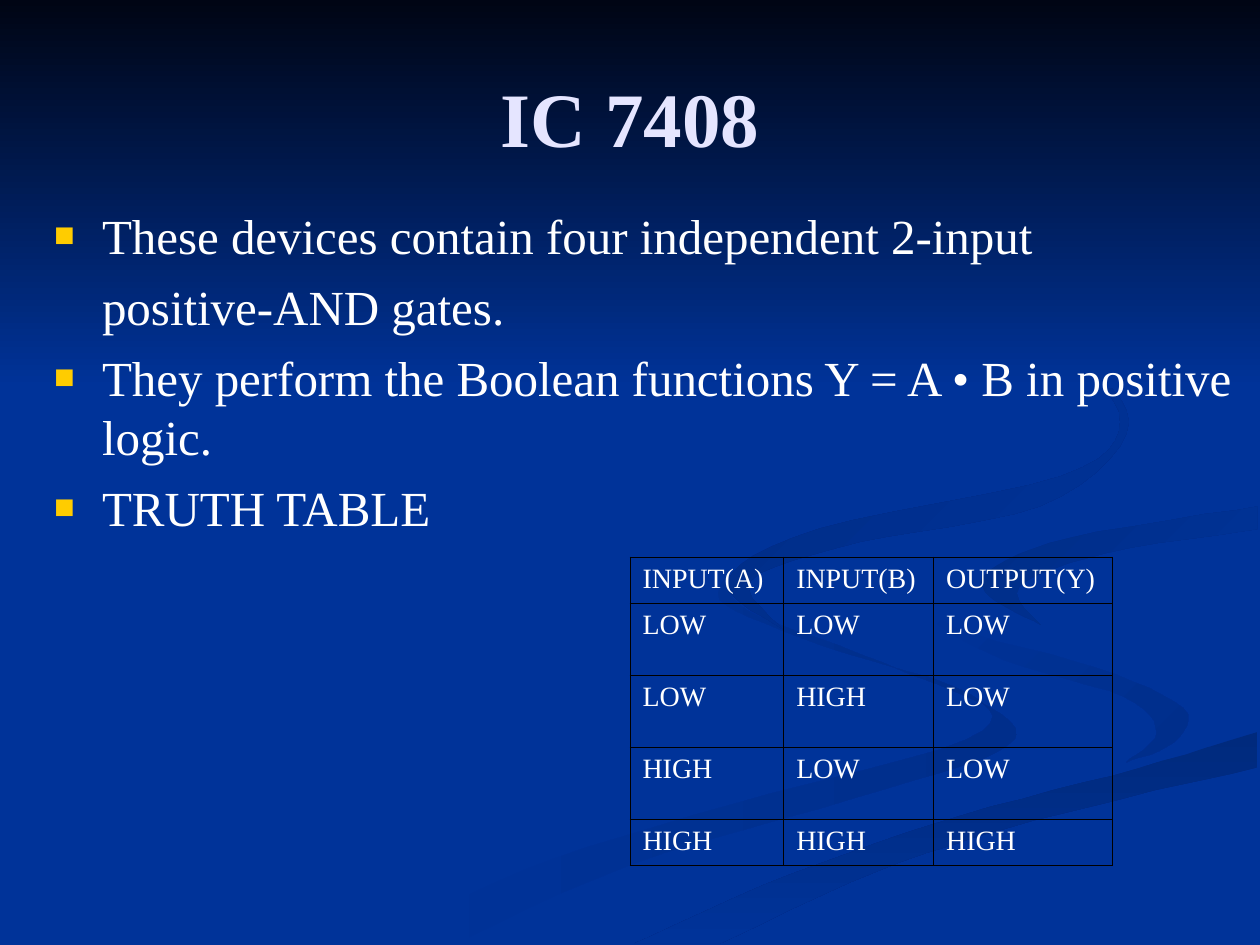
from lxml.etree import SubElement
from pptx import Presentation
from pptx.dml.color import RGBColor as RGB
from pptx.enum.shapes import MSO_SHAPE as Shape
from pptx.enum.text import MSO_ANCHOR as Anchor, MSO_AUTO_SIZE as AutoSize, PP_ALIGN as Align
from pptx.oxml.ns import qn
from pptx.util import Pt

PX = 9144  # EMU per px, at 100 px to the inch


class Theme:
    font = "Times New Roman"
    back, night = "003399", "000514"
    title, text, bullet, border = "E5E5FF", "FFFFFF", "FFCC00", "000000"
    title_pt, body_pt, cell_pt = 44, 28, 16
    space_pt, border_pt = 7, 0.45


# Ribbons from back to front: (start colour, end colour, clockwise angle, one edge, other edge back)
RIBBONS = [
    (Theme.back, "002E8B", 0,
     [(575, 459), (576, 480), (654, 513), (770, 551), (767, 587), (579, 639), (417, 690), (300, 749)],
     [(361, 749), (499, 687), (676, 634), (791, 597), (795, 567), (682, 519), (594, 485), (575, 459)]),
    (Theme.back, "002E8B", 45,
     [(724, 464), (758, 498), (870, 530), (939, 562), (932, 589), (894, 605)],
     [(894, 605), (918, 581), (892, 553), (797, 524), (733, 488), (724, 464)]),
    ("002A7D", Theme.back, 90,
     [(503, 749), (630, 693), (764, 647), (903, 610), (998, 581)],
     [(998, 609), (821, 651), (695, 692), (571, 749)]),
    ("002D86", Theme.back, 45,
     [(826, 496), (785, 473), (785, 453), (849, 427), (998, 402)],
     [(998, 420), (878, 439), (809, 466), (826, 496)]),
    ("002B82", Theme.back, 45,
     [(762, 233), (864, 291), (894, 344), (825, 402), (683, 430), (596, 461), (622, 500)],
     [(622, 500), (577, 462), (649, 420), (842, 378), (889, 335), (846, 279), (762, 233)]),
]

BULLETS = [  # (text, has a bullet)
    ("These devices contain four independent 2-input", True),
    ("positive-AND gates.", False),
    ("They perform the Boolean functions Y = A • B in positive logic.", True),
    ("TRUTH TABLE", True),
]

TRUTH_TABLE = [
    ("INPUT(A)", "INPUT(B)", "OUTPUT(Y)"),
    ("LOW", "LOW", "LOW"),
    ("LOW", "HIGH", "LOW"),
    ("HIGH", "LOW", "LOW"),
    ("HIGH", "HIGH", "HIGH"),
]


def smooth(points, steps=6):
    """Points along a Catmull-Rom curve through the given ones."""
    padded = [points[0], *points, points[-1]]
    curve = []
    for a, b, c, d in zip(padded, padded[1:], padded[2:], padded[3:]):
        for k in range(steps):
            t = k / steps
            curve.append(tuple(
                q + t * (r - p + t * (2 * p - 5 * q + 4 * r - s + t * (3 * (q - r) + s - p))) / 2
                for p, q, r, s in zip(a, b, c, d)))
    return curve + [points[-1]]


def add_run(p, text, size, color, bold=False):
    r = p.add_run()
    r.text = text
    r.font.name, r.font.size, r.font.bold = Theme.font, Pt(size), bold
    r.font.color.rgb = RGB.from_string(color)


def place(sp, box):
    """Move a placeholder to its box, in front of the backdrop."""
    sp.left, sp.top, sp.width, sp.height = (v * PX for v in box)
    sp.element.getparent().append(sp.element)
    tf = sp.text_frame
    tf.word_wrap, tf.auto_size = True, AutoSize.NONE
    return tf


def paint(sp, start, end, angle):
    """Fill with a two-colour gradient, without line or shadow."""
    sp.shadow.inherit = False
    sp.line.fill.background()
    sp.fill.gradient()
    sp.fill.gradient_angle = (360 - angle) % 360
    for stop, color, position in zip(sp.fill.gradient_stops, (start, end), (0, 1)):
        stop.color.rgb = RGB.from_string(color)
        stop.position = position


def set_bullet(p, shown, indent):
    pPr = p._p.get_or_add_pPr()
    pPr.set("marL", str(indent * PX))
    pPr.set("indent", str(-indent * PX if shown else 0))
    if not shown:
        SubElement(pPr, qn("a:buNone"))
        return
    color = SubElement(pPr, qn("a:buClr"))
    SubElement(color, qn("a:srgbClr"), val=Theme.bullet)
    SubElement(pPr, qn("a:buSzPct"), val="70000")
    SubElement(pPr, qn("a:buFont"), typeface=Theme.font)
    SubElement(pPr, qn("a:buChar"), char="■")


def set_borders(cell):
    tcPr = cell._tc.get_or_add_tcPr()
    for side in ("lnL", "lnR", "lnT", "lnB"):
        line = SubElement(tcPr, qn(f"a:{side}"), w=str(int(Pt(Theme.border_pt))))
        fill = SubElement(line, qn("a:solidFill"))
        SubElement(fill, qn("a:srgbClr"), val=Theme.border)


def draw_backdrop(slide, box, band_height):
    """Plain background, swirling ribbons and the dark band at the top."""
    fill = slide.background.fill
    fill.solid()
    fill.fore_color.rgb = RGB.from_string(Theme.back)
    left, top, width = (v * PX for v in box[:3])
    for start, end, angle, edge, edge_back in RIBBONS:
        points = smooth(edge) + smooth(edge_back)
        outline = slide.shapes.build_freeform(*points[0], scale=PX)
        outline.add_line_segments(points[1:], close=True)
        paint(outline.convert_to_shape(left, top), start, end, angle)
    band = slide.shapes.add_shape(Shape.RECTANGLE, left, top, width, band_height * PX)
    paint(band, Theme.night, Theme.back, 90)


def draw_title(slide, box, text):
    tf = place(slide.shapes.title, box)
    tf.vertical_anchor = Anchor.MIDDLE
    p = tf.paragraphs[0]
    p.alignment = Align.CENTER
    add_run(p, text, Theme.title_pt, Theme.title, bold=True)


def draw_body(slide, box, items):
    tf = place(slide.placeholders[1], box)
    for i, (text, shown) in enumerate(items):
        p = tf.add_paragraph() if i else tf.paragraphs[0]
        p.space_before = Pt(Theme.space_pt)
        set_bullet(p, shown, indent=38)
        add_run(p, text, Theme.body_pt, Theme.text)


def draw_table(slide, box, rows, col_widths, row_heights):
    frame = slide.shapes.add_table(len(rows), len(col_widths), *(v * PX for v in box))
    table = frame.table
    table.first_row = table.horz_banding = False
    for col, width in zip(table.columns, col_widths):
        col.width = width * PX
    for row, height, texts in zip(table.rows, row_heights, rows):
        row.height = height * PX
        for cell, text in zip(row.cells, texts):
            set_borders(cell)
            cell.fill.background()
            add_run(cell.text_frame.paragraphs[0], text, Theme.cell_pt, Theme.text)


def main():
    prs = Presentation()
    prs.slide_width, prs.slide_height = 1000 * PX, 750 * PX
    slide = prs.slides.add_slide(prs.slide_layouts[1])
    draw_backdrop(slide, (0, 0, 1000, 750), band_height=308)
    draw_title(slide, (50, 30, 900, 125), "IC 7408")
    draw_body(slide, (33, 158, 967, 575), BULLETS)
    draw_table(slide, (500, 442, 383, 245), TRUTH_TABLE, (122, 119, 142), (37, 57, 57, 57, 37))
    prs.save("out.pptx")


if __name__ == "__main__":
    main()
